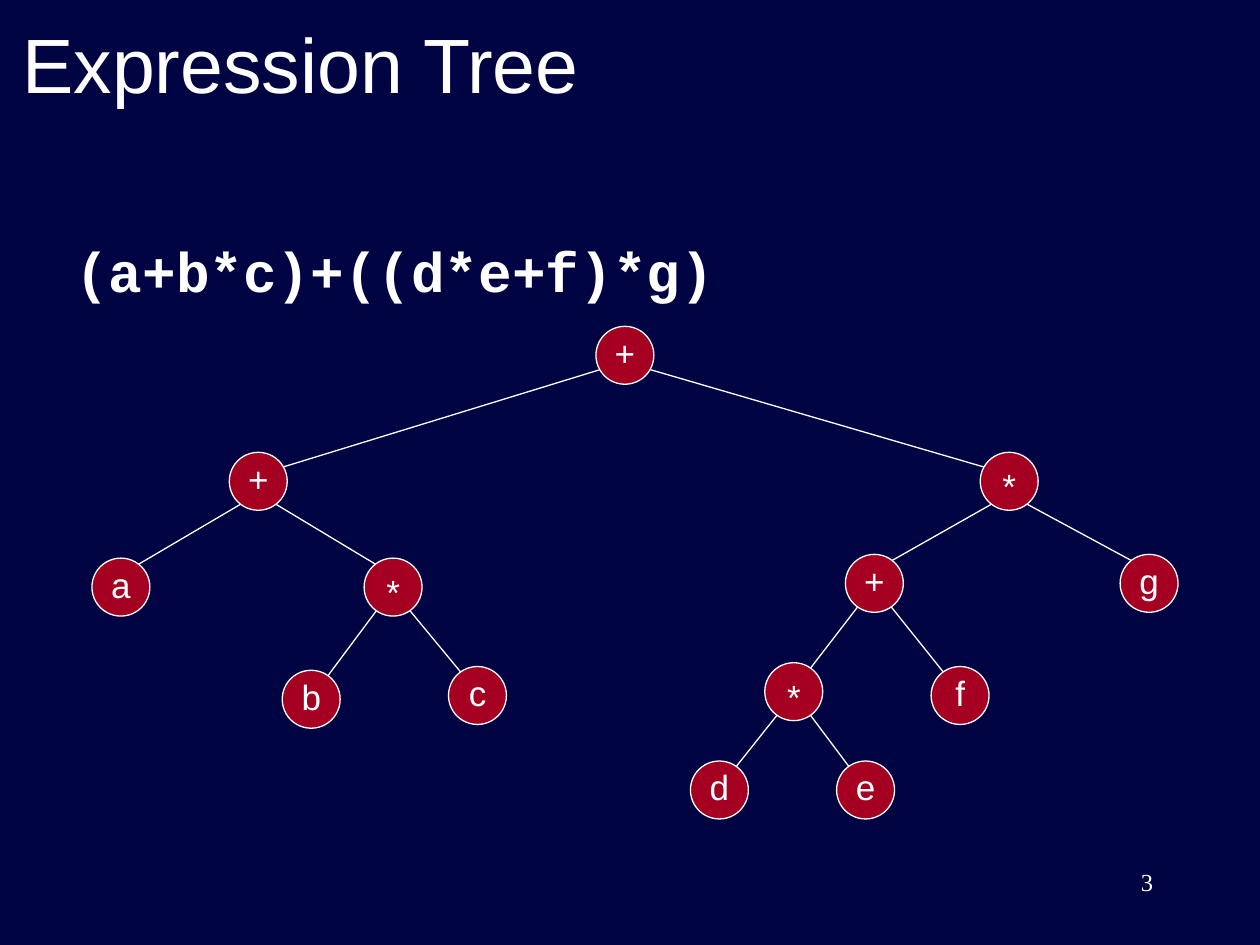
from lxml import etree
from pptx import Presentation
from pptx.dml.color import RGBColor
from pptx.enum import shapes, text
from pptx.oxml.ns import qn
from pptx.util import Inches, Pt

NAVY = RGBColor(0x01, 0x04, 0x42)
RED = RGBColor(0xA5, 0x00, 0x21)
WHITE = RGBColor(0xFF, 0xFF, 0xFF)

TITLE = "Expression Tree"
EXPRESSION = "(a+b*c)+((d*e+f)*g)"
PAGE_NUMBER = "3"

# key: (symbol, circle left, circle top, parent key)
NODES = {
    "root": ("+", 4.73, 2.59, None),
    "left sum": ("+", 1.82, 3.59, "root"),
    "right product": ("*", 7.78, 3.59, "root"),
    "a": ("a", 0.73, 4.43, "left sum"),
    "left product": ("*", 2.89, 4.43, "left sum"),
    "b": ("b", 2.24, 5.32, "left product"),
    "c": ("c", 3.56, 5.29, "left product"),
    "right sum": ("+", 6.71, 4.4, "right product"),
    "g": ("g", 8.89, 4.4, "right product"),
    "inner product": ("*", 6.07, 5.26, "right sum"),
    "f": ("f", 7.39, 5.29, "right sum"),
    "d": ("d", 5.48, 6.04, "inner product"),
    "e": ("e", 6.64, 6.04, "inner product"),
}
DIAMETER = 0.46
LABEL_WIDTH, LABEL_HEIGHT = 0.59, 0.44
STAR_DROP = 0.06  # an asterisk sits high in its line
EDGE_DX = 0.12
EDGE_DY = 0.17
ROOT_EDGE_DY = 0.09  # the root's edges are flatter


def add_text(parent, words, left, top, width, height, size, font="Arial",
             align=text.PP_ALIGN.LEFT, anchor=text.MSO_ANCHOR.TOP, bold=False):
    box = parent.add_textbox(Inches(left), Inches(top), Inches(width), Inches(height))
    frame = box.text_frame
    frame.word_wrap = True
    frame.vertical_anchor = anchor
    frame.text = words
    para = frame.paragraphs[0]
    para.alignment = align
    style = para.runs[0].font
    style.name, style.size, style.bold = font, Pt(size), bold
    style.color.rgb = WHITE


def add_edge(slide, parent, child):
    """Draw the line from a parent's lower rim to its child's upper rim."""
    _, parent_left, parent_top, grandparent = parent
    _, child_left, child_top, _ = child
    radius = DIAMETER / 2
    dx = EDGE_DX if child_left > parent_left else -EDGE_DX
    dy = EDGE_DY if grandparent else ROOT_EDGE_DY
    line = slide.shapes.add_connector(
        shapes.MSO_CONNECTOR.STRAIGHT,
        Inches(parent_left + radius + dx), Inches(parent_top + radius + dy),
        Inches(child_left + radius - dx), Inches(child_top + radius - dy))
    line.line.color.rgb = WHITE
    line.line.width = Pt(0.75)
    etree.SubElement(line._element.spPr, qn("a:effectLst"))


def add_node(slide, symbol, left, top):
    group = slide.shapes.add_group_shape()
    circle = group.shapes.add_shape(
        shapes.MSO_SHAPE.OVAL, Inches(left), Inches(top), Inches(DIAMETER), Inches(DIAMETER))
    circle.shadow.inherit = False
    circle.fill.solid()
    circle.fill.fore_color.rgb = RED
    circle.line.color.rgb = WHITE
    circle.line.width = Pt(0.75)
    label_top = top - 0.01 + (STAR_DROP if symbol == "*" else 0)
    add_text(group.shapes, symbol, left - (LABEL_WIDTH - DIAMETER) / 2, label_top,
             LABEL_WIDTH, LABEL_HEIGHT, 20, align=text.PP_ALIGN.CENTER)


def main():
    deck = Presentation()
    deck.slide_width, deck.slide_height = Inches(10), Inches(7.5)
    slide = deck.slides.add_slide(deck.slide_layouts[6])
    slide.background.fill.solid()
    slide.background.fill.fore_color.rgb = NAVY

    add_text(slide.shapes, TITLE, 0.08, 0, 9, 1, 44, anchor=text.MSO_ANCHOR.MIDDLE)
    add_text(slide.shapes, EXPRESSION, 0.5, 1.83, 9, 0.84, 32, "Courier New", bold=True)
    add_text(slide.shapes, PAGE_NUMBER, 7.17, 6.83, 2.08, 0.5, 14, "Times New Roman",
             align=text.PP_ALIGN.RIGHT)

    for node in NODES.values():
        if node[3]:
            add_edge(slide, NODES[node[3]], node)
    for symbol, left, top, _ in NODES.values():
        add_node(slide, symbol, left, top)
    deck.save("out.pptx")


if __name__ == "__main__":
    main()
